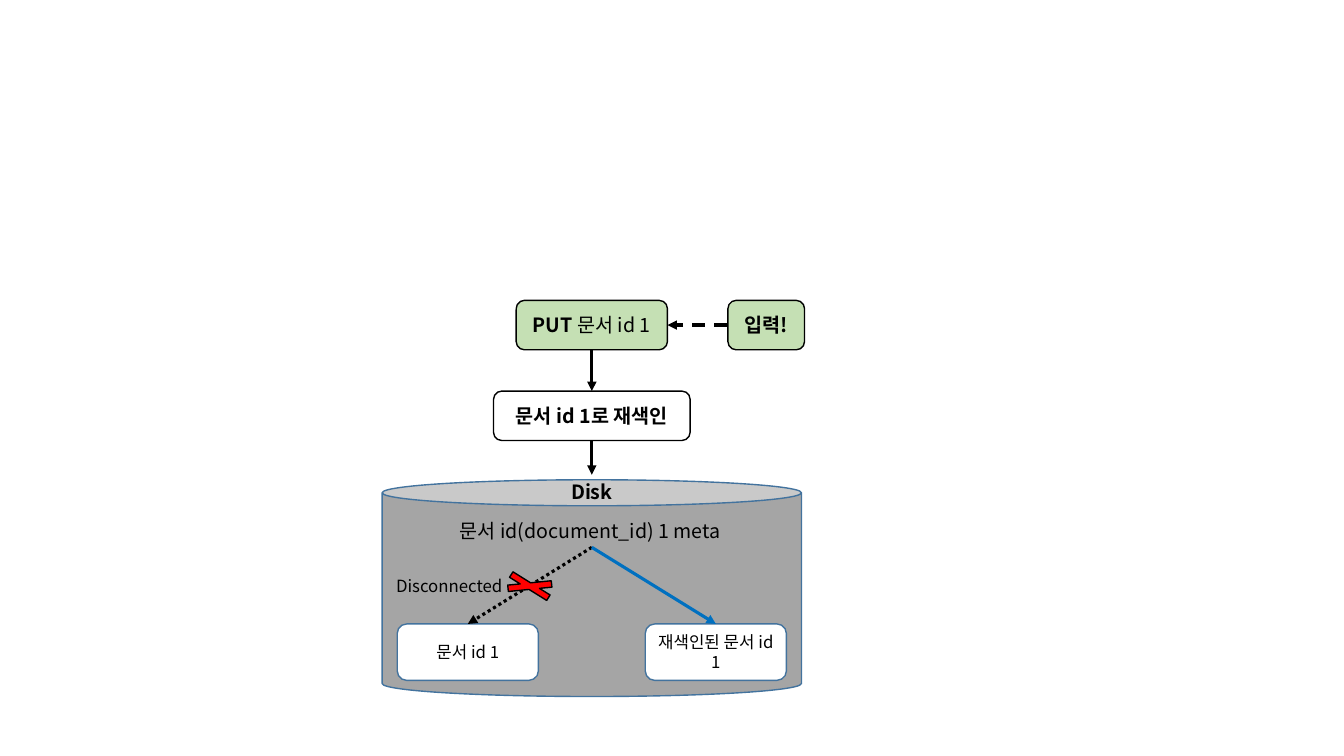
from lxml import etree
from pptx import Presentation
from pptx.dml.color import RGBColor
from pptx.enum.dml import MSO_LINE
from pptx.enum.shapes import MSO_CONNECTOR, MSO_SHAPE
from pptx.enum.text import MSO_ANCHOR, MSO_AUTO_SIZE, PP_ALIGN
from pptx.oxml.ns import qn
from pptx.util import Inches, Pt

CAN, ROUNDED, CROSS = MSO_SHAPE.CAN, MSO_SHAPE.ROUNDED_RECTANGLE, MSO_SHAPE.MATH_MULTIPLY
STRAIGHT = MSO_CONNECTOR.STRAIGHT
DOTTED, DASHED = MSO_LINE.ROUND_DOT, MSO_LINE.DASH
LEFT, CENTER = PP_ALIGN.LEFT, PP_ALIGN.CENTER
MIDDLE, TOP = MSO_ANCHOR.MIDDLE, MSO_ANCHOR.TOP
GROW = MSO_AUTO_SIZE.SHAPE_TO_FIT_TEXT

FONT = "Noto Sans CJK KR"
BLACK, WHITE, GREEN, GRAY = "000000", "FFFFFF", "C5E0B4", "A5A5A5"
RED, BLUE, STEEL = "FF0000", "0070C0", "43739E"

AXIS = 5.87  # centre line of the flow
STEP_TOP, STEP_HEIGHT, STEP_PITCH = 2.98, 0.49, 0.9
DOC_TOP, DOC_WIDTH, DOC_OFFSET = 6.19, 1.4, 1.23
META_BOTTOM = 5.43


def color(value):
    """Turn a hex string into a colour."""
    return RGBColor.from_string(value)


def write(shape, spans, size, align=CENTER, anchor=MIDDLE):
    """Write one paragraph of (text, bold) spans into a shape."""
    frame = shape.text_frame
    frame.word_wrap = True
    frame.vertical_anchor = anchor
    para = frame.paragraphs[0]
    para.alignment = align
    for text, bold in spans:
        span = para.add_run()
        span.text = text
        font = span.font
        font.name, font.size, font.bold = FONT, Pt(size), bold
        font.color.rgb = color(BLACK)
        latin = span._r.rPr.find(qn("a:latin"))
        east_asian = etree.Element(qn("a:ea"), typeface=FONT)
        latin.addnext(east_asian)


def add_outlined(page, kind, place, fill, line):
    """Add a filled preset shape with a thin outline."""
    shape = page.shapes.add_shape(kind, *map(Inches, place))
    shape.shadow.inherit = False
    shape.fill.solid()
    shape.fill.fore_color.rgb = color(fill)
    shape.line.color.rgb = color(line)
    shape.line.width = Pt(1)
    return shape


def add_step(page, center, row, width, fill, spans):
    """Add a flow step centred on a given x in a given row."""
    place = (center - width / 2, STEP_TOP + row * STEP_PITCH, width, STEP_HEIGHT)
    write(add_outlined(page, ROUNDED, place, fill, BLACK), spans, 14)


def add_document(page, center, text):
    """Add a stored document inside the disk."""
    place = (center - DOC_WIDTH / 2, DOC_TOP, DOC_WIDTH, 0.56)
    write(add_outlined(page, ROUNDED, place, WHITE, STEEL), [(text, False)], 12)


def add_label(page, place, text, size, bold=False, align=LEFT):
    """Add a free-standing label."""
    box = page.shapes.add_textbox(*map(Inches, place))
    write(box, [(text, bold)], size, align, TOP)
    box.text_frame.auto_size = GROW


def add_arrow(page, start, end, line=BLACK, dash=None):
    """Add a straight arrow that points at its end."""
    arrow = page.shapes.add_connector(STRAIGHT, *map(Inches, (*start, *end)))
    arrow.line.color.rgb = color(line)
    arrow.line.width = Pt(2.25)
    if dash is not None:
        arrow.line.dash_style = dash
    etree.SubElement(arrow.line._get_or_add_ln(), qn("a:tailEnd"), type="triangle")
    etree.SubElement(arrow._element.spPr, qn("a:effectLst"))


def add_disk(page):
    """Draw the disk with its metadata and both documents."""
    disk = add_outlined(page, CAN, (3.79, 4.76, 4.16, 2.15), GRAY, STEEL)
    disk.adjustments[0] = 0.12
    add_label(page, (4.46, 5.1, 2.82, 0.34), "문서 id(document_id) 1 meta", 14)
    old, new = AXIS - DOC_OFFSET, AXIS + DOC_OFFSET
    add_document(page, old, "문서 id 1")
    add_document(page, new, "재색인된 문서 id 1")
    add_arrow(page, (AXIS, META_BOTTOM), (old, DOC_TOP), dash=DOTTED)
    add_arrow(page, (AXIS, META_BOTTOM), (new, DOC_TOP), BLUE)
    cross = add_outlined(page, CROSS, (4.86, 5.68, 0.79, 0.27), RED, BLACK)
    cross.rotation = 13.1
    add_label(page, (3.83, 5.66, 1.46, 0.3), "Disconnected", 12)
    add_label(page, (AXIS - 0.31, 4.71, 0.62, 0.34), "Disk", 14, True, CENTER)


def add_flow(page):
    """Draw the steps that lead from the input to the disk."""
    add_step(page, AXIS, 0, 1.5, GREEN, [("PUT ", True), ("문서 id 1", False)])
    add_step(page, AXIS, 1, 1.95, WHITE, [("문서 id 1로 재색인", True)])
    add_step(page, 7.6, 0, 0.76, GREEN, [("입력!", True)])
    step_bottom = STEP_TOP + STEP_HEIGHT
    add_arrow(page, (AXIS, step_bottom), (AXIS, STEP_TOP + STEP_PITCH))
    add_arrow(page, (AXIS, step_bottom + STEP_PITCH), (AXIS, 4.71))
    middle = STEP_TOP + STEP_HEIGHT / 2
    add_arrow(page, (7.21, middle), (6.62, middle), dash=DASHED)


def main():
    """Build the slide and save it."""
    deck = Presentation()
    deck.slide_width, deck.slide_height = Inches(13.33), Inches(7.5)
    page = deck.slides.add_slide(deck.slide_layouts[6])
    add_disk(page)
    add_flow(page)
    deck.save("out.pptx")


main()
